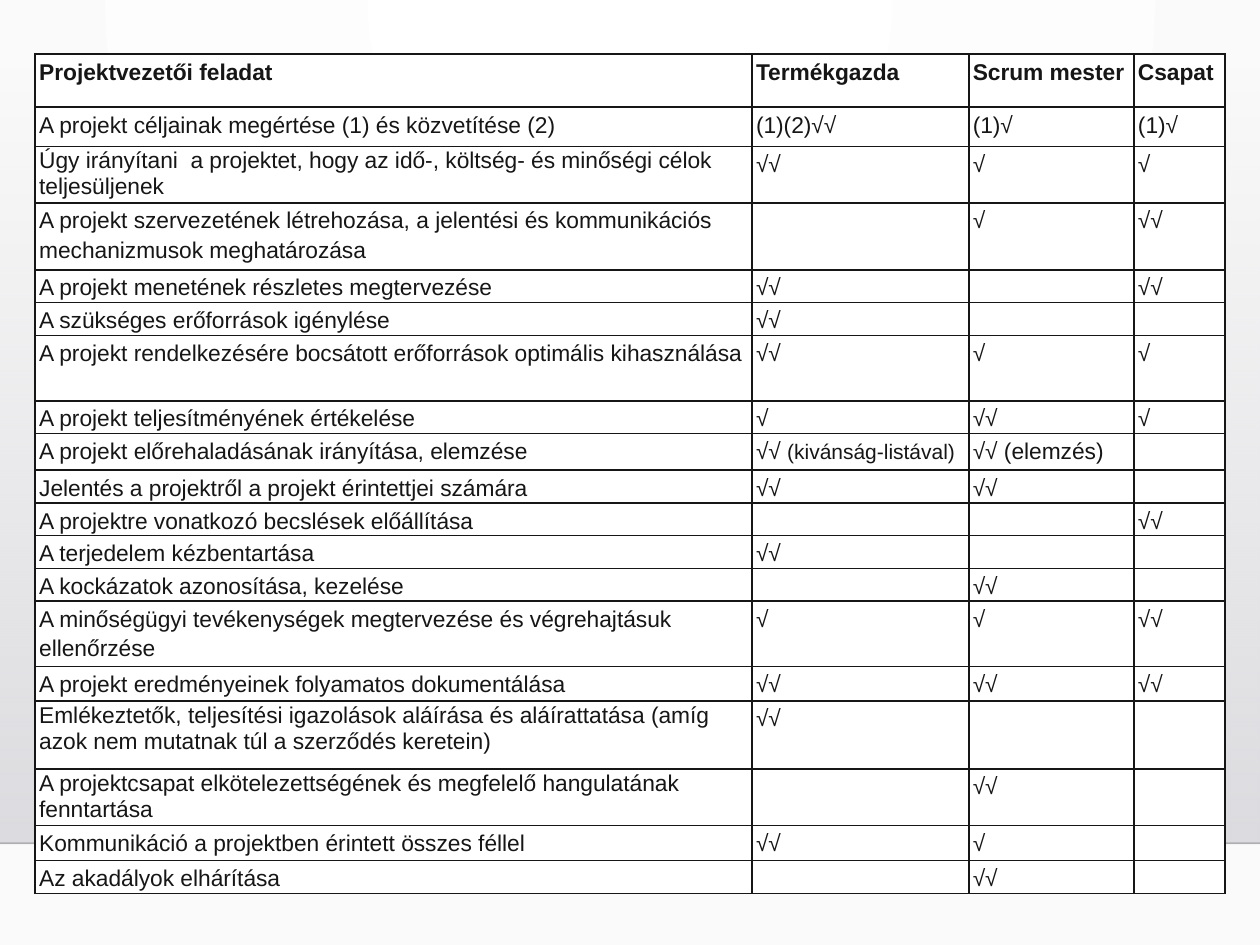
from typing import NamedTuple

from lxml import etree
from pptx import Presentation
from pptx.dml.color import RGBColor
from pptx.enum import shapes
from pptx.oxml import ns
from pptx.util import Cm, Pt

INK, WHITE, FONT = "161616", "FFFFFF", "Arial"
YES, DOUBLE = "√", "√√"
COLUMN_WIDTHS = (14.45, 4.37, 3.33, 1.83)


class Task(NamedTuple):
    name: str
    owner: str = ""
    master: str = ""
    team: str = ""
    height: float = 0.66
    spacing: float = 1.15


TASKS = [
    Task("Projektvezetői feladat", "Termékgazda", "Scrum mester", "Csapat", 1.07),
    Task("A projekt céljainak megértése (1) és közvetítése (2)", "(1)(2)√√", "(1)√", "(1)√", 0.79),
    Task("Úgy irányítani  a projektet, hogy az idő-, költség- és minőségi célok teljesüljenek",
         DOUBLE, YES, YES, 1.14, 1.01),
    Task("A projekt szervezetének létrehozása, a jelentési és kommunikációs\n"
         "mechanizmusok meghatározása", "", YES, DOUBLE, 1.35),
    Task("A projekt menetének részletes megtervezése", DOUBLE, "", DOUBLE),
    Task("A szükséges erőforrások igénylése", DOUBLE),
    Task("A projekt rendelkezésére bocsátott erőforrások optimális kihasználása",
         DOUBLE, YES, YES, 1.32),
    Task("A projekt teljesítményének értékelése", YES, DOUBLE, YES),
    Task("A projekt előrehaladásának irányítása, elemzése",
         "√√ |(kivánság-listával)", "√√ (elemzés)", height=0.74),
    Task("Jelentés a projektről a projekt érintettjei számára", DOUBLE, DOUBLE),
    Task("A projektre vonatkozó becslések előállítása", team=DOUBLE),
    Task("A terjedelem kézbentartása", DOUBLE),
    Task("A kockázatok azonosítása, kezelése", master=DOUBLE),
    Task("A minőségügyi tevékenységek megtervezése és végrehajtásuk ellenőrzése",
         YES, YES, DOUBLE, 1.32),
    Task("A projekt eredményeinek folyamatos dokumentálása", DOUBLE, DOUBLE, DOUBLE, 0.69),
    Task("Emlékeztetők, teljesítési igazolások aláírása és aláírattatása "
         "(amíg azok nem mutatnak túl a szerződés keretein)", DOUBLE, height=1.37, spacing=1.01),
    Task("A projektcsapat elkötelezettségének és megfelelő hangulatának fenntartása",
         master=DOUBLE, height=1.14, spacing=1.01),
    Task("Kommunikáció a projektben érintett összes féllel", DOUBLE, YES, height=0.71),
    Task("Az akadályok elhárítása", master=DOUBLE),
]


def color(value: str) -> RGBColor:
    return RGBColor.from_string(value)


def add_element(parent, tag: str, **attributes):
    names = {key: str(value) for key, value in attributes.items()}
    return etree.SubElement(parent, ns.qn(tag), names)


def set_gradient(owner, stops):
    """Replace the stops of the owner's gradient and return its element."""
    gradient = owner.find(".//" + ns.qn("a:gradFill"))
    for child in list(gradient):
        gradient.remove(child)
    stop_list = add_element(gradient, "a:gsLst")
    for position, value, opacity in stops:
        stop = add_element(stop_list, "a:gs", pos=position * 1000)
        tint = add_element(stop, "a:srgbClr", val=value)
        add_element(tint, "a:alpha", val=opacity * 1000)
    return gradient


def write_text(cell, content: str, *, size=13, note_size=12, bold=False, spacing=1.15):
    """Lines become paragraphs; the part after a bar is set in the note size."""
    frame = cell.text_frame
    for index, line in enumerate(content.split("\n")):
        paragraph = frame.add_paragraph() if index else frame.paragraphs[0]
        paragraph.line_spacing = spacing
        paragraph._p.get_or_add_pPr().set("marL", str(Cm(0.08)))
        for part, part_size in zip(line.split("|"), (size, note_size)):
            if not part:
                add_element(paragraph._p, "a:endParaRPr", sz=size * 100)
                continue
            run = paragraph.add_run()
            run.text = part
            run.font.name, run.font.size, run.font.bold = FONT, Pt(part_size), bold
            run.font.color.rgb = color(INK)


def format_cell(cell):
    cell.margin_left = cell.margin_right = cell.margin_bottom = 0
    cell.margin_top = Pt(1)
    properties = cell._tc.get_or_add_tcPr()
    for side in ("a:lnL", "a:lnR", "a:lnT", "a:lnB"):
        border = add_element(properties, side, w=Pt(1))
        add_element(add_element(border, "a:solidFill"), "a:srgbClr", val=INK)
    cell.fill.solid()
    cell.fill.fore_color.rgb = color(WHITE)


def add_backdrop(slide):
    slide.background.fill.gradient()
    glow = set_gradient(slide._element, [(0, WHITE, 100), (100, "FAFAFA", 100)])
    circle = add_element(glow, "a:path", path="circle")
    add_element(circle, "a:fillToRect", l=43000, t=0, r=43000, b=100000)

    # Grey band fading in towards the floor line
    band = slide.shapes.add_shape(shapes.MSO_SHAPE.RECTANGLE, 0, Cm(1.3), Cm(25.4), Cm(15.7))
    band.shadow.inherit = False
    band.line.fill.background()
    band.fill.gradient()
    fade = set_gradient(band._element, [(0, "DCDCE0", 0), (100, "DEDEE2", 100)])
    add_element(fade, "a:lin", ang=5400000, scaled=0)

    floor = slide.shapes.add_connector(shapes.MSO_CONNECTOR.STRAIGHT, 0, Cm(17), Cm(25.4), Cm(17))
    floor.line.width = Pt(1)
    floor.line.color.rgb = color("000001")
    add_element(floor._element.find(".//" + ns.qn("a:srgbClr")), "a:alpha", val=20000)
    add_element(floor._element.spPr, "a:effectLst")


def add_task_table(slide, tasks: list[Task]):
    table = slide.shapes.add_table(
        len(tasks), len(COLUMN_WIDTHS), Cm(0.71), Cm(1.09),
        Cm(sum(COLUMN_WIDTHS)), Cm(sum(task.height for task in tasks))).table
    table.horz_banding = False
    for column, width in zip(table.columns, COLUMN_WIDTHS):
        column.width = Cm(width)
    for index, (row, task) in enumerate(zip(table.rows, tasks)):
        row.height = Cm(task.height)
        for column, (cell, content) in enumerate(zip(row.cells, task[:4])):
            format_cell(cell)
            write_text(cell, content, bold=index == 0,
                       spacing=1.15 if column else task.spacing)


def main():
    deck = Presentation()
    deck.slide_width, deck.slide_height = Cm(25.4), Cm(19.05)
    slide = deck.slides.add_slide(deck.slide_layouts[6])
    add_backdrop(slide)
    add_task_table(slide, TASKS)
    deck.save("out.pptx")


if __name__ == "__main__":
    main()
